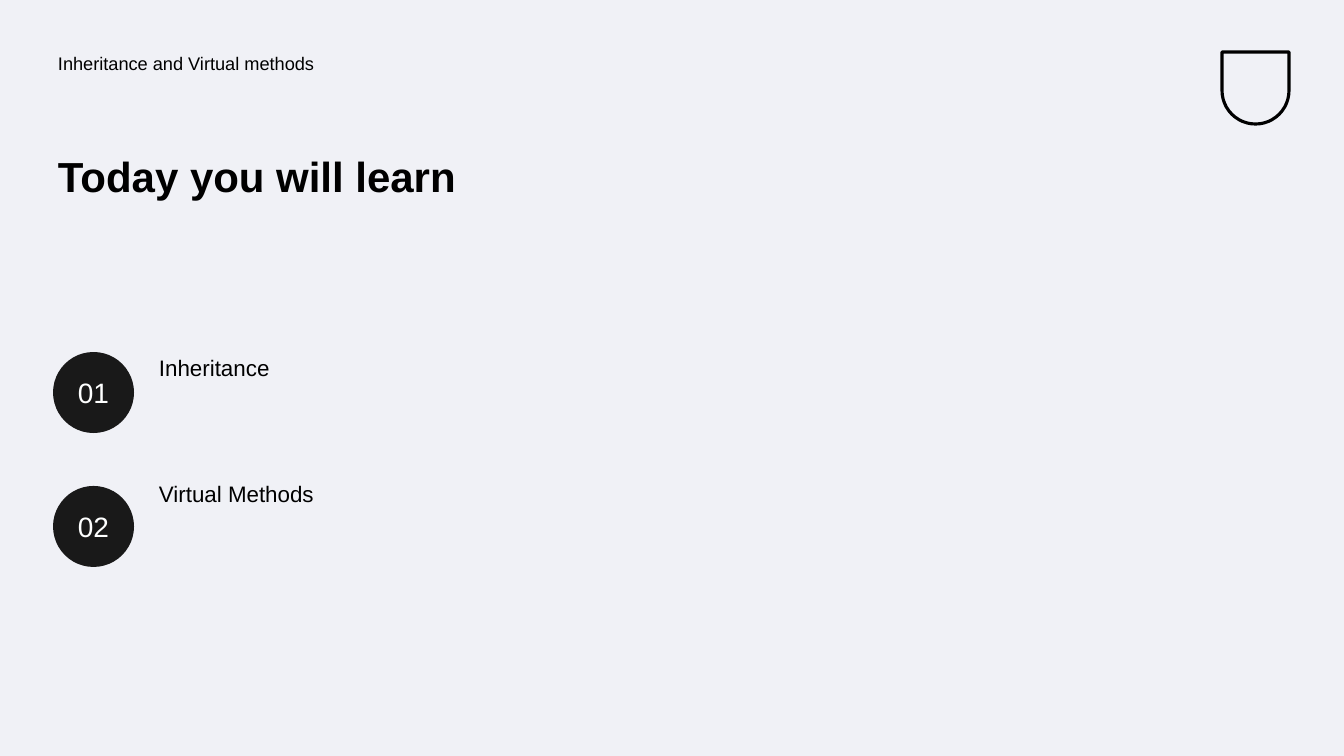
from dataclasses import dataclass

from pptx import Presentation
from pptx.dml.color import RGBColor
from pptx.enum.shapes import MSO_SHAPE
from pptx.enum.text import MSO_ANCHOR, PP_ALIGN
from pptx.util import Pt

EMU_PER_PX = 12192000 / 1344


@dataclass(frozen=True)
class Theme:
    font: str = "Arial"
    background: str = "F0F1F6"
    ink: str = "000000"
    badge: str = "191919"
    badge_ink: str = "FEFFFF"
    topic_size: int = 13
    title_size: int = 30
    item_size: int = 16
    number_size: int = 20
    emblem_line: float = 2.25


THEME = Theme()


def px(length):
    return round(length * EMU_PER_PX)


def color(value):
    return RGBColor.from_string(value)


def write(shape, text, *, size, ink=THEME.ink, bold=False,
          align=PP_ALIGN.LEFT, anchor=MSO_ANCHOR.TOP, spacing=0.9):
    frame = shape.text_frame
    frame.word_wrap = True
    frame.vertical_anchor = anchor
    frame.margin_left = frame.margin_right = px(5)
    frame.margin_top = frame.margin_bottom = px(5)
    para = frame.paragraphs[0]
    para.alignment = align
    para.line_spacing = spacing
    span = para.add_run()
    span.text = text
    span.font.name = THEME.font
    span.font.size = Pt(size)
    span.font.bold = bold
    span.font.color.rgb = color(ink)


def add_text(page, box, text, **style):
    write(page.shapes.add_textbox(*map(px, box)), text, **style)


def add_preset(page, preset, box):
    shape = page.shapes.add_shape(preset, *map(px, box))
    shape.shadow.inherit = False
    return shape


def add_emblem(page, box):
    shield = add_preset(page, MSO_SHAPE.ROUND_2_SAME_RECTANGLE, box)
    shield.rotation = 180
    shield.adjustments[0] = 0.5
    shield.fill.background()
    shield.line.color.rgb = color(THEME.ink)
    shield.line.width = Pt(THEME.emblem_line)


def add_header(page, box, topic, title):
    left, top, width, height = box
    add_text(page, (left, top, 619, 50), topic, size=THEME.topic_size)
    add_text(page, (left, top + 101, 569, height - 101), title,
             size=THEME.title_size, bold=True)
    add_emblem(page, (left + width - 69, top + 2, 67, 72))


def add_badge(page, box, number):
    circle = add_preset(page, MSO_SHAPE.OVAL, box)
    circle.fill.solid()
    circle.fill.fore_color.rgb = color(THEME.badge)
    circle.line.fill.background()
    write(circle, f"{number:02}", size=THEME.number_size, ink=THEME.badge_ink,
          align=PP_ALIGN.CENTER, anchor=MSO_ANCHOR.MIDDLE, spacing=1.0)


def add_agenda(page, box, items):
    left, top, width, height = box
    diameter, label_indent, label_height = 81, 101, 100
    badge_step = height - diameter
    label_step = 126
    for index, item in enumerate(items):
        add_badge(page, (left, top + index * badge_step, diameter, diameter),
                  index + 1)
        add_text(page, (left + label_indent, top + index * label_step,
                        width - label_indent, label_height),
                 item, size=THEME.item_size)


def main():
    deck = Presentation()
    deck.slide_width, deck.slide_height = px(1344), px(756)
    page = deck.slides.add_slide(deck.slide_layouts[6])
    page.background.fill.solid()
    page.background.fill.fore_color.rgb = color(THEME.background)
    add_header(page, (53, 50, 1238, 251),
               "Inheritance and Virtual methods", "Today you will learn")
    add_agenda(page, (53, 352, 568, 215), ["Inheritance", "Virtual Methods"])
    deck.save("out.pptx")


if __name__ == "__main__":
    main()
